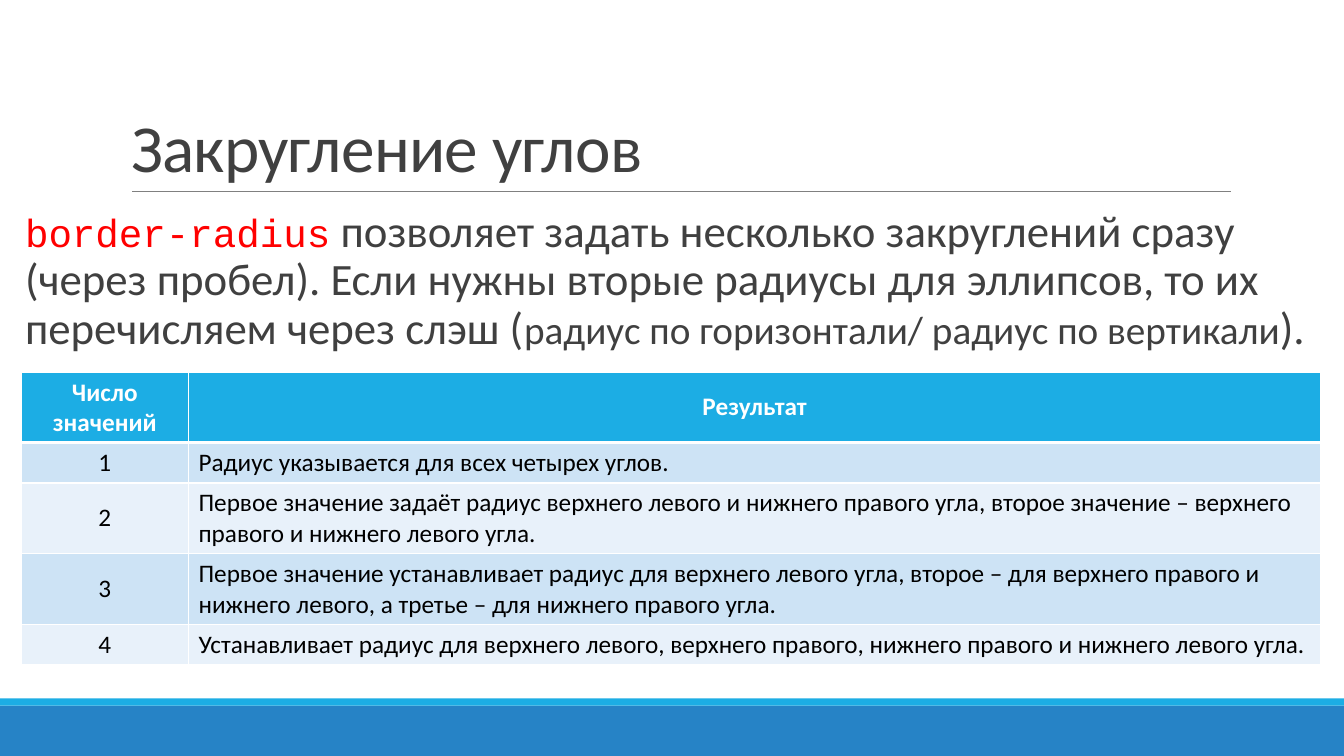
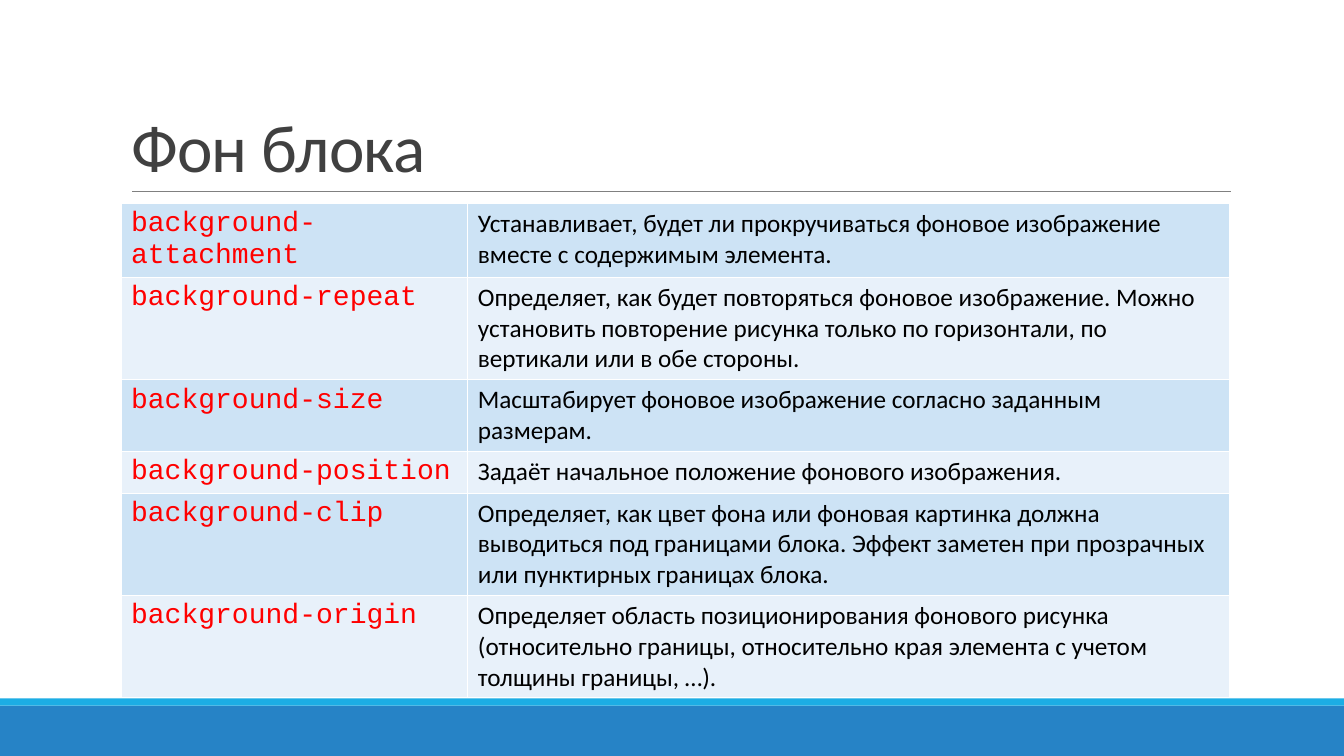
from lxml import etree
from pptx import Presentation
from pptx.dml.color import RGBColor
from pptx.enum import shapes, text
from pptx.oxml.ns import qn
from pptx.util import Inches, Pt

BLUE, SKY, GREY, RULE = "2683C6", "1CADE4", "404040", "808080"
WHITE, BLACK, RED = "FFFFFF", "000000", "FF0000"
BANDS = ["E8F1FA", "CDE3F5"]
SANS, MONO = "Calibri", "Courier New"


def style(font, name, size, color, bold=False):
    font.name, font.size, font.bold = name, Pt(size), bold
    font.color.rgb = RGBColor.from_string(color)


def edge(cell, widths):
    """Draw white cell borders; widths maps a side (L, R, T, B) to points."""
    props = cell._tc.get_or_add_tcPr()
    for side, width in widths.items():
        line = etree.SubElement(props, qn("a:ln" + side), w=str(Pt(width)))
        fill = etree.SubElement(line, qn("a:solidFill"))
        etree.SubElement(fill, qn("a:srgbClr"), val=WHITE)


LEAD = [
    ("border-radius", MONO, 28, RED),
    (" позволяет задать несколько закруглений сразу (через пробел). Если нужны "
     "вторые радиусы для эллипсов, то их перечисляем через слэш (", SANS, 32, GREY),
    ("радиус по горизонтали/ радиус по вертикали", SANS, 28, GREY),
    (").", SANS, 32, GREY),
]
RADII = [
    ("Число\nзначений", "Результат"),
    ("1", "Радиус указывается для всех четырех углов."),
    ("2", "Первое значение задаёт радиус верхнего левого и нижнего правого угла, "
          "второе значение – верхнего правого и нижнего левого угла."),
    ("3", "Первое значение устанавливает радиус для верхнего левого угла, второе – "
          "для верхнего правого и нижнего левого, а третье – для нижнего правого угла."),
    ("4", "Устанавливает радиус для верхнего левого, верхнего правого, нижнего "
          "правого и нижнего левого угла."),
]
PROPS = [
    ("background-attachment", "Устанавливает, будет ли прокручиваться фоновое "
     "изображение вместе с содержимым элемента."),
    ("background-repeat", "Определяет, как будет повторяться фоновое изображение. Можно "
     "установить повторение рисунка только по горизонтали, по вертикали или в обе стороны."),
    ("background-size", "Масштабирует фоновое изображение согласно заданным размерам."),
    ("background-position", "Задаёт начальное положение фонового изображения."),
    ("background-clip", "Определяет, как цвет фона или фоновая картинка должна выводиться "
     "под границами блока. Эффект заметен при прозрачных или пунктирных границах блока."),
    ("background-origin", "Определяет область позиционирования фонового рисунка (относительно "
     "границы, относительно края элемента с учетом толщины границы, …)."),
]
# title, lead text, table rows, header row, left, top, column widths, row heights
PAGES = [
    ("Закругление углов", LEAD, RADII, True, 0.21, 3.69,
     [1.66, 11.23], [0.7, 0.4, 0.7, 0.7, 0.4]),
    ("Фон блока", [], PROPS, False, 1.2, 2.02,
     [3.44, 7.56], [0.7, 1, 0.7, 0.4, 1, 1]),
]

deck = Presentation()
deck.slide_width, deck.slide_height = Inches(13.33), Inches(7.5)

for name, lead, rows, head, left, top, widths, heights in PAGES:
    slide = deck.slides.add_slide(deck.slide_layouts[5])

    for y, high, color in [(7, 0.5, BLUE), (6.93, 0.07, SKY)]:
        band = slide.shapes.add_shape(shapes.MSO_SHAPE.RECTANGLE, 0, Inches(y),
                                      deck.slide_width, Inches(high))
        band.shadow.inherit = False
        band.fill.solid()
        band.fill.fore_color.rgb = RGBColor.from_string(color)
        band.line.fill.background()

    rule = slide.shapes.add_connector(shapes.MSO_CONNECTOR.STRAIGHT, Inches(1.31),
                                      Inches(1.9), Inches(12.21), Inches(1.9))
    rule.line.color.rgb = RGBColor.from_string(RULE)
    rule.line.width = Pt(0.5)
    etree.SubElement(rule._element.spPr, qn("a:effectLst"))

    title = slide.shapes.title
    title.left, title.top = Inches(1.2), Inches(0.31)
    title.width, title.height = Inches(11), Inches(1.59)
    frame = title.text_frame
    frame.text = name
    frame.auto_size = text.MSO_AUTO_SIZE.NONE
    frame.vertical_anchor = text.MSO_ANCHOR.BOTTOM
    para = frame.paragraphs[0]
    para.alignment = text.PP_ALIGN.LEFT
    para.line_spacing = 0.85
    style(para.font, SANS, 48, GREY)
    para._p.pPr.find(qn("a:defRPr")).set("spc", "-50")

    if lead:
        box = slide.shapes.add_textbox(Inches(0.15), Inches(2.02),
                                       Inches(12.98), Inches(1.51))
        frame = box.text_frame
        frame.word_wrap = True
        frame.margin_left, frame.margin_right = Inches(0.1), 0
        para = frame.paragraphs[0]
        para.line_spacing = 0.9
        for words, face, size, color in lead:
            run = para.add_run()
            run.text = words
            style(run.font, face, size, color)

    table = slide.shapes.add_table(len(rows), 2, Inches(left), Inches(top),
                                   Inches(sum(widths)), Inches(sum(heights))).table
    table.first_row = head
    for col, width in zip(table.columns, widths):
        col.width = Inches(width)
    for r, (line, high) in enumerate(zip(rows, heights)):
        table.rows[r].height = Inches(high)
        top_row = head and r == 0
        for c, words in enumerate(line):
            cell = table.cell(r, c)
            cell.text = words
            edge(cell, {"L": 1, "R": 1, "T": 3 if head and r == 1 else 1,
                        "B": 3 if top_row else 1})
            cell.fill.solid()
            shade = SKY if top_row else BANDS[(r + head + 1) % 2 if not head else r % 2]
            cell.fill.fore_color.rgb = RGBColor.from_string(shade)
            center = top_row or head and c == 0
            if center:
                cell.vertical_anchor = text.MSO_ANCHOR.MIDDLE
            for para in cell.text_frame.paragraphs:
                if center:
                    para.alignment = text.PP_ALIGN.CENTER
                if c == 0 and not head:
                    style(para.font, MONO, 20, RED)
                else:
                    style(para.font, SANS, 18, WHITE if top_row else BLACK, top_row)

deck.save("out.pptx")
